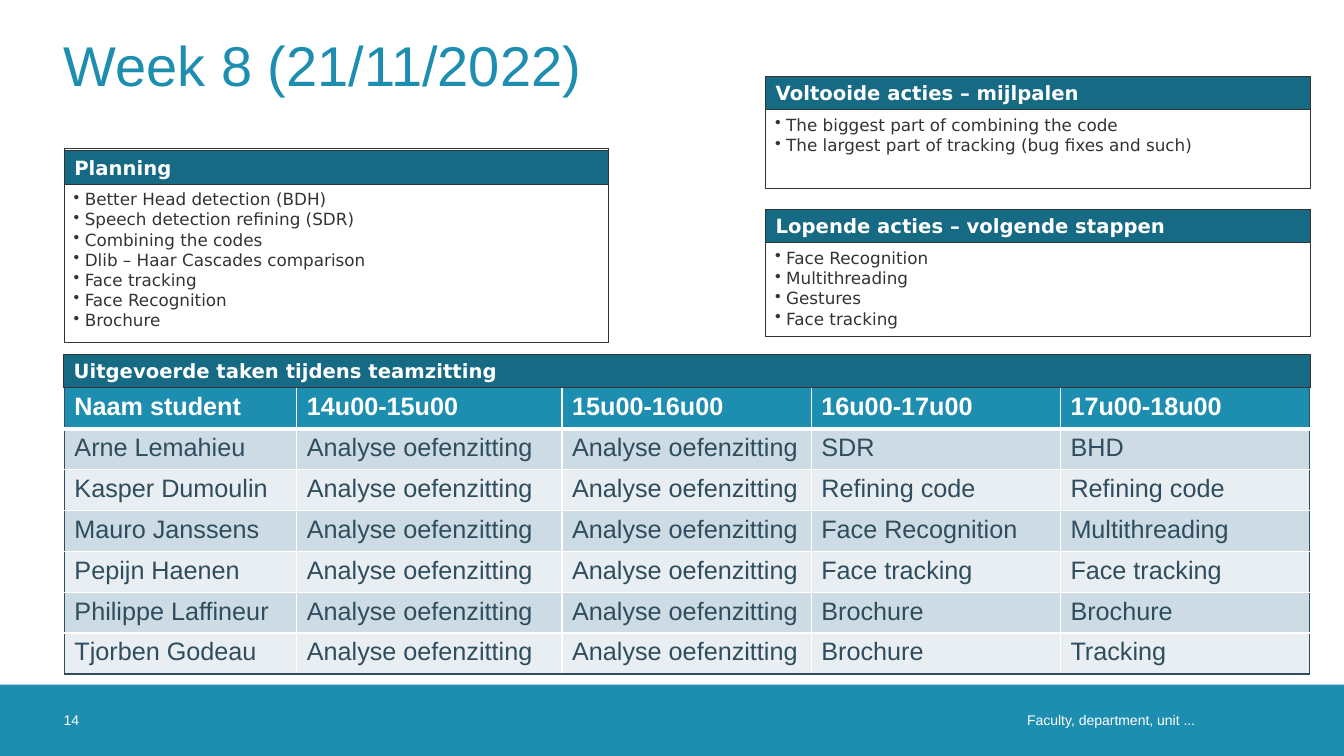
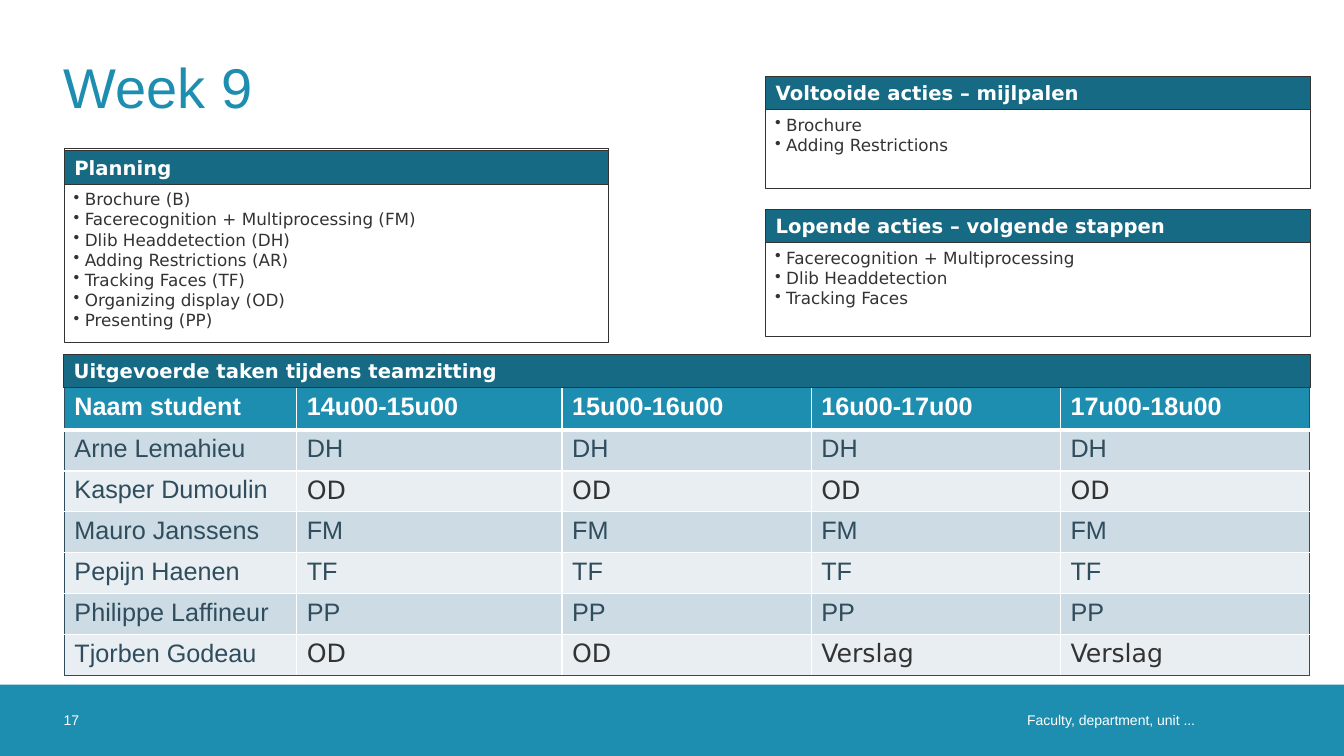
from pptx import Presentation
from pptx.dml.color import RGBColor as RGB
from pptx.enum.shapes import MSO_SHAPE as SHAPE
from pptx.enum.text import MSO_ANCHOR as ANCHOR, MSO_AUTO_SIZE as AUTO, PP_ALIGN as ALIGN
from pptx.oxml.xmlchemy import OxmlElement as Node
from pptx.util import Pt

# Shared look
BLUE = RGB(0x1D, 0x8D, 0xB0)
DEEP = RGB(0x16, 0x6A, 0x84)
SLATE = RGB(0x2F, 0x4D, 0x5D)
INK = RGB(0x33, 0x33, 0x33)
WHITE = RGB(0xFF, 0xFF, 0xFF)
BANDS = RGB(0xCD, 0xDB, 0xE4), RGB(0xE8, 0xEE, 0xF2)
SANS, BODY = "Arial", "DejaVu Sans"

# Page grid, in points
WIDTH, HEIGHT = 960, 540
LEFT, RIGHT = 45.5, 936
PANEL = 389
BAR = 24
FOOT = 51
COLS = 166, 189.5, 178, 178, 178
ROW = 29.2

HOURS = [f"{hour}u00-{hour + 1}u00" for hour in range(14, 18)]
NAMES = ("Arne Lemahieu", "Kasper Dumoulin", "Mauro Janssens",
         "Pepijn Haenen", "Philippe Laffineur", "Tjorben Godeau")
PLAIN = {"OD", "Verslag"}


def points(box):
    return [Pt(size) for size in box]


def write(frame, *lines, font=SANS, size=18, color=WHITE, bold=False,
          align=ALIGN.LEFT, anchor=None, inset=None, bullet=False, lead=None):
    """Fill a text frame, one paragraph a line."""
    frame.word_wrap = True
    if anchor is not None:
        frame.vertical_anchor = anchor
    if inset is not None:
        (frame.margin_left, frame.margin_top,
         frame.margin_right, frame.margin_bottom) = points(inset)
    for num, line in enumerate(lines):
        para = frame.add_paragraph() if num else frame.paragraphs[0]
        para.alignment = align
        if lead:
            para.line_spacing = Pt(lead)
        if bullet:
            props = para._p.get_or_add_pPr()
            props.set("marL", str(Pt(8)))
            props.set("indent", str(-Pt(8)))
            mark = Node("a:buChar")
            mark.set("char", "•")
            props.append(mark)
        run = para.add_run()
        run.text = line
        run.font.name, run.font.size = font, Pt(size)
        run.font.bold, run.font.color.rgb = bold, color


def block(slide, box, fill=None, line=None):
    shape = slide.shapes.add_shape(SHAPE.RECTANGLE, *points(box))
    shape.shadow.inherit = False
    if fill is None:
        shape.fill.background()
    else:
        shape.fill.solid()
        shape.fill.fore_color.rgb = fill
    if line is None:
        shape.line.fill.background()
    else:
        shape.line.color.rgb = line
        shape.line.width = Pt(0.75)
    return shape


def label(slide, box, *lines, **form):
    area = slide.shapes.add_textbox(*points(box))
    write(area.text_frame, *lines, **form)


def banner(slide, box, head):
    bar = block(slide, box, DEEP, INK)
    write(bar.text_frame, head, font=BODY, size=14, bold=True,
          anchor=ANCHOR.MIDDLE)


def panel(slide, box, head, items, drop=0):
    """Framed list under a banner, which sits drop below the frame's top."""
    left, top, width, height = box
    block(slide, box, line=INK)
    banner(slide, (left, top + drop, width, BAR), head)
    start = drop + BAR
    label(slide, (left - 0.5, top + start, width, height - start), *items,
          font=BODY, size=12, color=INK, bullet=True, lead=14.4)


def edge(cell, side, color, width):
    line = Node(f"a:ln{side}")
    line.set("w", str(Pt(width)))
    fill, tint = Node("a:solidFill"), Node("a:srgbClr")
    tint.set("val", str(color))
    fill.append(tint)
    line.append(fill)
    cell._tc.get_or_add_tcPr().append(line)


def grid(slide, left, top, rows, first):
    """Task table: header row, banded rows and a dark outer edge."""
    high = [first] + [ROW] * (len(rows) - 1)
    box = left, top, sum(COLS), sum(high)
    table = slide.shapes.add_table(len(rows), len(COLS), *points(box)).table
    for col, width in zip(table.columns, COLS):
        col.width = Pt(width)
    for row, height in zip(table.rows, high):
        row.height = Pt(height)
    last, end = len(rows) - 1, len(COLS) - 1
    for r, row in enumerate(rows):
        for c, word in enumerate(row):
            cell = table.cell(r, c)
            outer = {"L": c == 0, "R": c == end, "T": r == 0, "B": r == last}
            for side, dark in outer.items():
                thick = (r, side) in ((0, "B"), (1, "T"))
                edge(cell, side, SLATE if dark else WHITE, 3 if thick else 1)
            cell.fill.solid()
            cell.fill.fore_color.rgb = BANDS[(r - 1) % 2] if r else BLUE
            plain = word in PLAIN
            tone = INK if plain else SLATE
            write(cell.text_frame, word, font=BODY if plain else SANS,
                  color=tone if r else WHITE, bold=r == 0)


def footer(slide, box, page):
    left, top, width, height = box
    block(slide, box, BLUE)
    form = dict(size=10, anchor=ANCHOR.MIDDLE)
    label(slide, (left + 475, top, 393, height), "Faculty, department, unit ...",
          align=ALIGN.RIGHT, inset=(0, 0, 14.4, 0), **form)
    label(slide, (left + LEFT, top, FOOT, height), page,
          inset=(0, 0, 0, 0), **form)


def heading(slide, box, words):
    title = slide.shapes.title
    title.left, title.top, title.width, title.height = points(box)
    write(title.text_frame, words, size=40, color=BLUE,
          anchor=ANCHOR.MIDDLE, inset=(0, 0, 0, 0))
    title.text_frame.auto_size = AUTO.NONE


def week(deck, title, page, plan, done, doing, tasks, rise=16.5, first=ROW):
    """One weekly report slide."""
    slide = deck.slides.add_slide(deck.slide_layouts[5])
    footer(slide, (0, HEIGHT - FOOT, WIDTH, FOOT), page)
    heading(slide, (LEFT, rise, 869, 90.5), title)
    panel(slide, (LEFT + 0.5, 106, PANEL, 139), "Planning", plan, drop=1.5)
    side = RIGHT - PANEL
    panel(slide, (side, 54.5, PANEL, 80), "Voltooide acties – mijlpalen", done)
    panel(slide, (side, 149.5, PANEL, 91),
          "Lopende acties – volgende stappen", doing)
    rows = [["Naam student", *HOURS]]
    rows += [[name, *work] for name, work in zip(NAMES, tasks)]
    grid(slide, LEFT + 0.5, 277, rows, first)
    banner(slide, (LEFT, 253, RIGHT - LEFT, BAR),
           "Uitgevoerde taken tijdens teamzitting")


def main():
    deck = Presentation()
    deck.slide_width, deck.slide_height = Pt(WIDTH), Pt(HEIGHT)

    late = (("SDR", "BHD"), ("Refining code",) * 2,
            ("Face Recognition", "Multithreading"), ("Face tracking",) * 2,
            ("Brochure",) * 2, ("Brochure", "Tracking"))
    week(deck, "Week 8 (21/11/2022)", "14",
         plan=("Better Head detection (BDH)", "Speech detection refining (SDR)",
               "Combining the codes", "Dlib – Haar Cascades comparison",
               "Face tracking", "Face Recognition", "Brochure"),
         done=("The biggest part of combining the code",
               "The largest part of tracking (bug fixes and such)"),
         doing=("Face Recognition", "Multithreading", "Gestures",
                "Face tracking"),
         tasks=[("Analyse oefenzitting",) * 2 + pair for pair in late],
         rise=0.5)

    tasks = [(code,) * 4 for code in ("DH", "OD", "FM", "TF", "PP")]
    week(deck, "Week 9", "17",
         plan=("Brochure (B)", "Facerecognition + Multiprocessing (FM)",
               "Dlib Headdetection (DH)", "Adding Restrictions (AR)",
               "Tracking Faces (TF)", "Organizing display (OD)",
               "Presenting (PP)"),
         done=("Brochure", "Adding Restrictions"),
         doing=("Facerecognition + Multiprocessing", "Dlib Headdetection",
                "Tracking Faces"),
         tasks=tasks + [("OD",) * 2 + ("Verslag",) * 2],
         first=30.2)

    deck.save("out.pptx")


if __name__ == "__main__":
    main()
